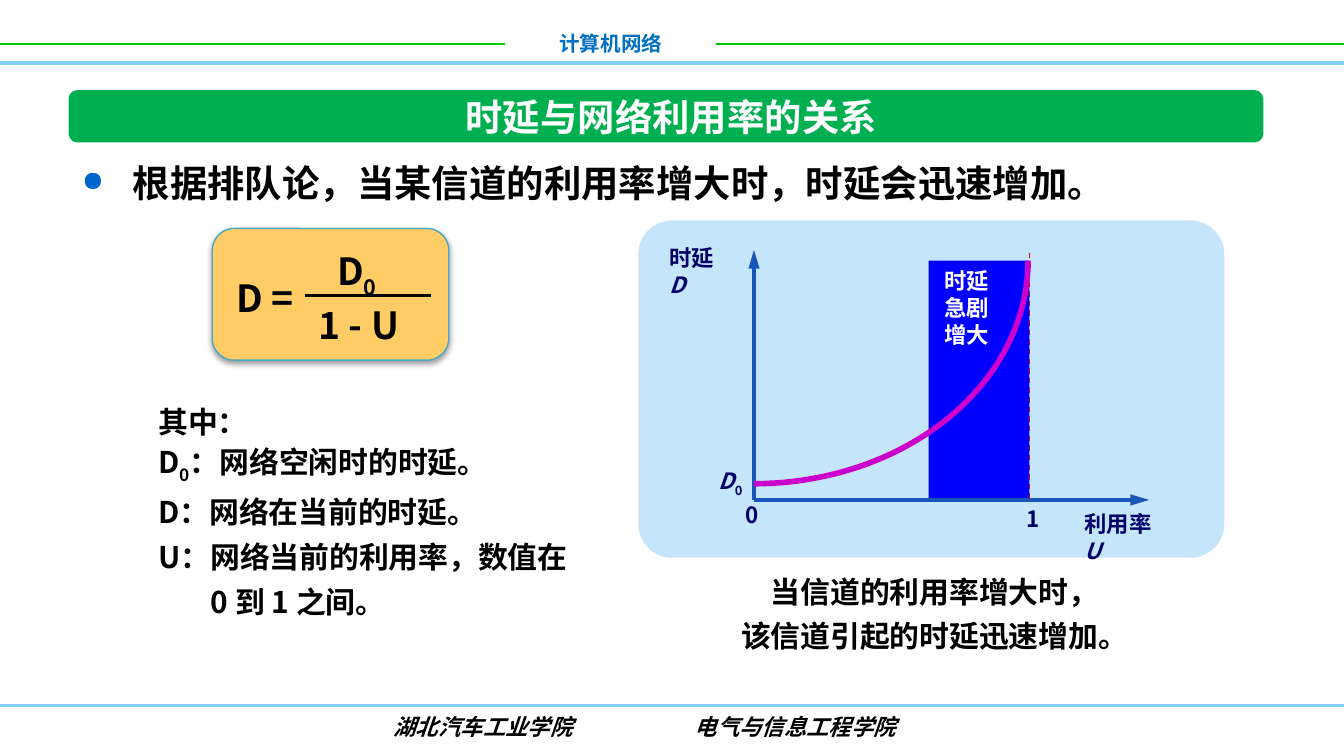
"""Build a slide on how network delay grows with utilisation."""
import math

import pptx
import pptx.dml.color
import pptx.enum.dml
import pptx.enum.shapes
import pptx.enum.text
import pptx.oxml
import pptx.oxml.ns
import pptx.util
from pptx.util import Inches

FONT = "Noto Sans CJK SC"
COLORS = {
    "black": "000000", "white": "FFFFFF", "title": "0070C0", "lime": "00CC00",
    "sky": "85D1F7", "green": "00B050", "bullet": "0066CC", "amber": "FFCC66",
    "teal": "46AAC5", "panel": "C5E5FB", "band": "0000FF", "navy": "000066",
    "axis": "1956B9", "red": "CC0000", "curve": "CC00CC",
}
KIND = pptx.enum.shapes.MSO_SHAPE
ALIGN = pptx.enum.text.PP_ALIGN
ANCHOR = pptx.enum.text.MSO_ANCHOR


def color(name):
    return pptx.dml.color.RGBColor.from_string(COLORS[name])


def attach(parent, xml):
    tag, rest = xml.split(" ", 1)
    space = pptx.oxml.ns.nsdecls("a")
    node = pptx.oxml.parse_xml(f"<{tag} {space} {rest}")
    parent.append(node)


def style(run, size, tint, font=FONT, italic=False, sub=False):
    face = run.font
    face.name, face.size = font, pptx.util.Pt(size)
    face.bold, face.italic = True, italic
    face.color.rgb = color(tint)
    props = run._r.get_or_add_rPr()
    attach(props, f'a:ea typeface="{FONT}"/>')
    if sub:
        props.set("baseline", "-25000")


def text(slide, box, lines, size, tint="black", align=ALIGN.LEFT, wrap=True,
         pitch=None, fill=None, anchor=ANCHOR.TOP, font=FONT, italic=False):
    """Write lines; each is a string or a list of (text, options) parts."""
    shape = slide.shapes.add_textbox(*map(Inches, box))
    if fill:
        shape.fill.solid()
        shape.fill.fore_color.rgb = color(fill)
    frame = shape.text_frame
    frame.word_wrap, frame.vertical_anchor = wrap, anchor
    parts = [[(line, {})] if isinstance(line, str) else line for line in lines]
    frame.text = "\n".join(line[0][0] for line in parts)
    for para, line in zip(frame.paragraphs, parts):
        para.alignment = align
        if pitch:
            para.line_spacing = pptx.util.Pt(pitch)
        for words, _ in line[1:]:
            para.add_run().text = words
        for run, (_, opts) in zip(para.runs, line):
            style(run, size, tint, font, **{"italic": italic, **opts})
    return frame.paragraphs


def hang(para, depth, mark=None):
    props = para._p.get_or_add_pPr()
    props.set("marL", str(Inches(depth)))
    props.set("indent", str(-Inches(depth)))
    if mark:
        attach(props, f'a:buClr ><a:srgbClr val="{COLORS["bullet"]}"/></a:buClr>')
        attach(props, 'a:buSzPct val="75000"/>')
        attach(props, f'a:buChar char="{mark}"/>')


def block(slide, kind, box, fill, edge=None, round=None):
    shape = slide.shapes.add_shape(kind, *map(Inches, box))
    shape.shadow.inherit = False
    shape.fill.solid()
    shape.fill.fore_color.rgb = color(fill)
    if edge:
        shape.line.color.rgb = color(edge)
        shape.line.width = pptx.util.Pt(0.75)
    else:
        shape.line.fill.background()
    if round:
        shape.adjustments[0] = round
    return shape


def shade(shape):
    props = shape._element.spPr
    props.remove(props.find(pptx.oxml.ns.qn("a:effectLst")))
    attach(props, 'a:effectLst ><a:outerShdw blurRad="39370" dist="20320" '
           'dir="5400000" rotWithShape="0"><a:srgbClr val="000000">'
           '<a:alpha val="38000"/></a:srgbClr></a:outerShdw></a:effectLst>')


def rule(slide, start, end, tint, width, arrow=False, dash=False):
    straight = pptx.enum.shapes.MSO_CONNECTOR.STRAIGHT
    line = slide.shapes.add_connector(straight, *map(Inches, start + end))
    if dash:
        line.line.dash_style = pptx.enum.dml.MSO_LINE.DASH
    line.line.color.rgb = color(tint)
    line.line.width = pptx.util.Pt(width)
    if arrow:
        attach(line.line._get_or_add_ln(), 'a:tailEnd type="triangle" len="lg"/>')
    attach(line._element.spPr, "a:effectLst />")


def arc(slide, left, top, wide, high, steps=48):
    """Draw the quarter ellipse from lower left to upper right."""
    turns = [math.pi / 2 * i / steps for i in range(steps + 1)]
    points = [(Inches(left + wide * math.sin(t)), Inches(top + high * math.cos(t)))
              for t in turns]
    path = slide.shapes.build_freeform(*points[0])
    path.add_line_segments(points[1:], close=False)
    shape = path.convert_to_shape()
    shape.shadow.inherit = False
    shape.fill.background()
    shape.line.color.rgb = color("curve")
    shape.line.width = pptx.util.Pt(3)


def frame(slide):
    for start, end in ((0, 3.76), (5.33, 10)):
        rule(slide, (start, 0.33), (end, 0.33), "lime", 1)
    for y, width in ((0.47, 2), (5.25, 1.5)):
        rule(slide, (0, y), (10, y), "sky", width)
    text(slide, (3.76, 0.18, 1.57, 0.29), ["计算机网络"], 11, "title", ALIGN.CENTER)
    for x, name in ((2.83, "湖北汽车工业学院"), (5.07, "电气与信息工程学院")):
        text(slide, (x, 5.26, 1.75, 0.3), [name], 12, font="Arial",
             italic=True, wrap=False)
    block(slide, KIND.ROUNDED_RECTANGLE, (0.51, 0.67, 8.89, 0.39), "green")
    text(slide, (1.37, 0.67, 7.25, 0.39), ["时延与网络利用率的关系"], 20, "white",
         ALIGN.CENTER, anchor=ANCHOR.MIDDLE)


def formula(slide):
    card = block(slide, KIND.ROUNDED_RECTANGLE, (1.58, 1.7, 1.76, 0.98), "amber", "teal")
    shade(card)
    for box, line in (((1.66, 2, 0.81, 0.44), "D ="),
                      ((2.41, 1.8, 0.68, 0.44), [("D", {}), ("0", {"sub": True})]),
                      ((2.27, 2.2, 0.94, 0.44), "1 - U")):
        text(slide, box, [line], 20, fill="amber")
    rule(slide, (2.27, 2.2), (3.21, 2.2), "black", 1.5)


def graph(slide):
    left, base, full, top = 5.61, 3.72, 7.66, 1.94
    block(slide, KIND.ROUNDED_RECTANGLE, (4.75, 1.64, 4.36, 2.51), "panel", round=0.1)
    block(slide, KIND.RECTANGLE, (6.91, top, 0.75, base - top), "band")
    rule(slide, (left, base), (left, 1.86), "axis", 2, arrow=True)
    rule(slide, (left, base), (8.55, base), "axis", 2, arrow=True)
    rule(slide, (full, 1.88), (full, base), "red", 0.75, dash=True)
    arc(slide, left, top, 2.04, 1.66)
    slant = {"italic": True}
    for box, line, wrap in (
            ((4.88, 1.77, 0.68, 0.3), [("时延 ", {}), ("D", slant)], True),
            ((7.97, 3.75, 0.8, 0.3), [("利用率 ", {}), ("U", slant)], True),
            ((7.54, 3.71, 0.31, 0.3), "1", False),
            ((5.45, 3.68, 0.31, 0.3), "0", False),
            ((5.25, 3.43, 0.4, 0.3), [("D", slant), ("0", {"sub": True})], False)):
        text(slide, box, [line], 12, "navy", wrap=wrap)
    text(slide, (6.93, top, 0.57, 0.7), ["时延急剧增大"], 12, "white")


def main():
    deck = pptx.Presentation()
    deck.slide_width, deck.slide_height = Inches(10), Inches(10 * 9 / 16)
    slide = deck.slides.add_slide(deck.slide_layouts[6])
    frame(slide)
    lead = text(slide, (0.51, 1.06, 8.89, 3.71),
                ["根据排队论，当某信道的利用率增大时，时延会迅速增加。"], 20,
                align=ALIGN.JUSTIFY, pitch=30)
    hang(lead[0], 0.38, "●")
    terms = text(slide, (1.08, 2.89, 3.38, 1.78), [
        "其中：",
        [("D", {}), ("0", {"sub": True}), ("：网络空闲时的时延。", {})],
        "D：网络在当前的时延。",
        "U：网络当前的利用率，数值在 0 到 1 之间。"], 16, pitch=24)
    hang(terms[-1], 0.39)
    formula(slide)
    graph(slide)
    text(slide, (4.88, 4.15, 4.15, 0.77),
         ["当信道的利用率增大时，", "该信道引起的时延迅速增加。"], 16,
         align=ALIGN.CENTER, pitch=24)
    deck.save("out.pptx")


if __name__ == "__main__":
    main()
